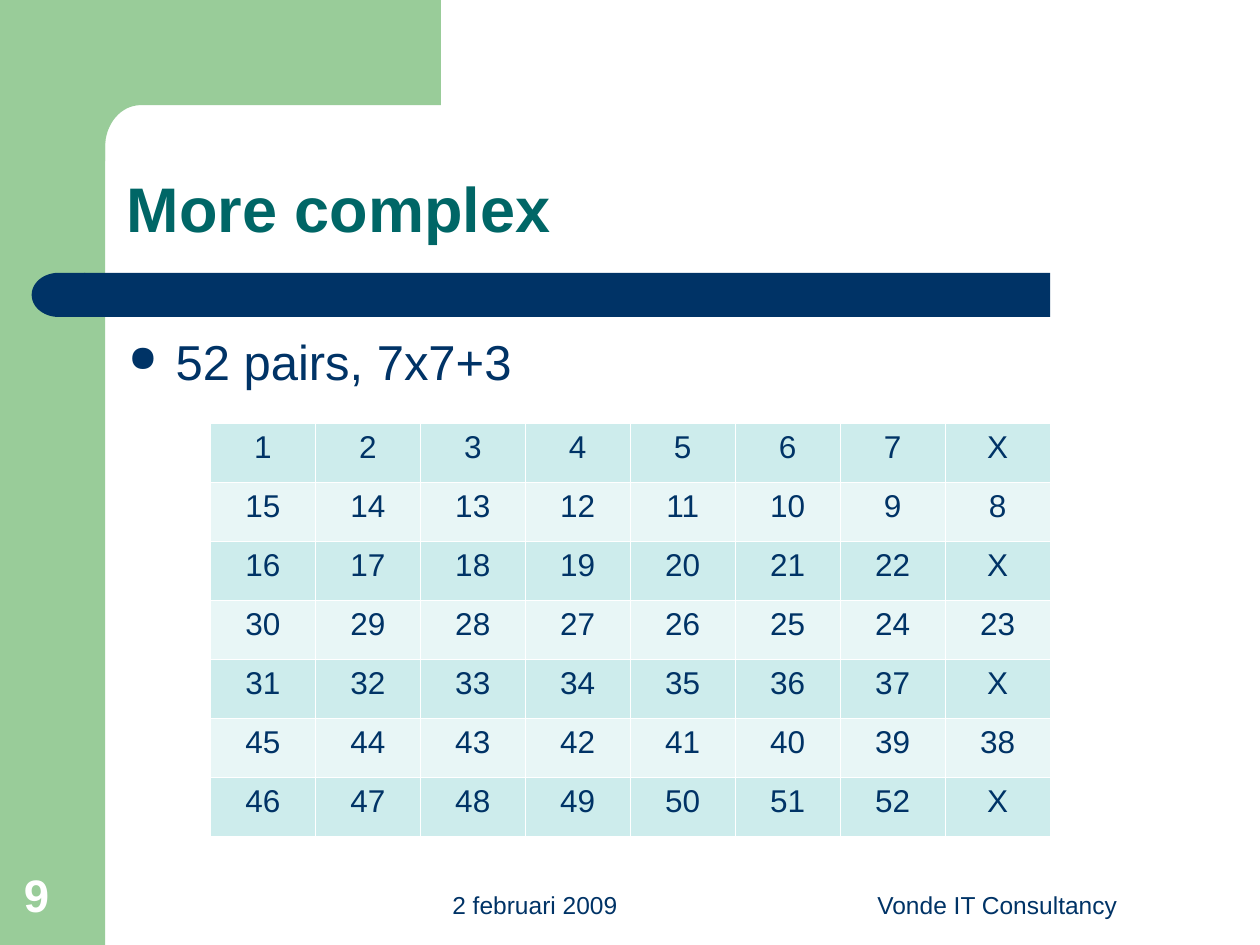
from dataclasses import dataclass
from math import cos, pi, sin

from lxml import etree
from pptx import Presentation
from pptx.dml.color import RGBColor
from pptx.enum.shapes import MSO_SHAPE
from pptx.enum.text import MSO_ANCHOR, PP_ALIGN
from pptx.oxml.ns import qn
from pptx.util import Cm, Pt

RECTANGLE, ROUNDED, DELAY = MSO_SHAPE.RECTANGLE, MSO_SHAPE.ROUNDED_RECTANGLE, MSO_SHAPE.FLOWCHART_DELAY
LEFT, CENTER, RIGHT = PP_ALIGN.LEFT, PP_ALIGN.CENTER, PP_ALIGN.RIGHT
TOP, BOTTOM = MSO_ANCHOR.TOP, MSO_ANCHOR.BOTTOM


@dataclass(frozen=True)
class Theme:
    """Colours, type sizes and font of the slide."""
    font: str = "Arial"
    green: str = "99CC99"
    navy: str = "003366"
    teal: str = "006666"
    white: str = "FFFFFF"
    bands: tuple = ("CDECEC", "E8F6F6")
    title: int = 36
    body: int = 28
    number: int = 26
    cell: int = 18
    footer: int = 14


THEME = Theme()


def write_text(frame, text, size, color=THEME.navy, bold=False, align=LEFT):
    """Write one formatted paragraph into a text frame and return it."""
    paragraph = frame.paragraphs[0]
    paragraph.alignment = align
    run = paragraph.add_run()
    run.text = text
    run.font.name = THEME.font
    run.font.size = Pt(size)
    run.font.bold = bold
    run.font.color.rgb = RGBColor.from_string(color)
    return paragraph


def add_text(slide, box, text, anchor=BOTTOM, **text_format):
    """Add a wrapped text box and return its paragraph."""
    frame = slide.shapes.add_textbox(*map(Cm, box)).text_frame
    frame.word_wrap = True
    frame.vertical_anchor = anchor
    return write_text(frame, text, **text_format)


def paint(shape, color):
    """Give a shape a flat fill without line or shadow."""
    shape.shadow.inherit = False
    shape.fill.solid()
    shape.fill.fore_color.rgb = RGBColor.from_string(color)
    shape.line.fill.background()


def add_block(slide, kind, box, color):
    """Add a flat preset shape."""
    shape = slide.shapes.add_shape(kind, *map(Cm, box))
    paint(shape, color)
    return shape


def add_frame(slide, box, band=2.12, corner_left=1.27, corner_width=7.62):
    """Draw the green side band and the top block with its rounded inner corner."""
    left, top, width, height = box
    add_block(slide, RECTANGLE, (left, top, band, height), THEME.green)
    radius_x, radius_y, steps = 0.72, 0.84, 16
    inner_left, inner_top = left + band, top + 2.12
    right, bottom = left + corner_left + corner_width, top + 3.25
    angles = [pi / 2 * step / steps for step in range(steps + 1)]
    arc = [(inner_left + radius_x * (1 - sin(angle)), inner_top + radius_y * (1 - cos(angle)))
           for angle in angles]
    points = [(right, top), (right, inner_top), *arc, (inner_left, bottom),
              (left + corner_left, bottom), (left + corner_left, top)]
    start, *others = [(Cm(x), Cm(y)) for x, y in points]
    builder = slide.shapes.build_freeform(*start)
    builder.add_line_segments(others, close=True)
    paint(builder.convert_to_shape(), THEME.green)


def add_title(slide, box, rule_top=5.5, rule_height=0.89):
    """Place the title and the navy rule with a rounded left end below it."""
    left = box[0]
    paragraph = add_text(slide, box, "More complex", size=THEME.title, color=THEME.teal, bold=True)
    paragraph.line_spacing = 0.9
    bar = add_block(slide, ROUNDED, (left - 0.61, rule_top, 19.47, rule_height), THEME.navy)
    bar.adjustments[0] = 0
    cap = add_block(slide, DELAY, (left - 1.67, rule_top, 1.08, rule_height), THEME.navy)
    cap.element.spPr.find(qn("a:xfrm")).set("flipH", "1")


def add_bullet(slide, box, text):
    """Place a bulleted line with a hanging indent."""
    paragraph = add_text(slide, box, text, anchor=TOP, size=THEME.body)
    paragraph.space_before = Pt(7)
    properties = paragraph._p.get_or_add_pPr()
    properties.set("marL", str(Cm(0.95)))
    properties.set("indent", str(-Cm(0.95)))
    color = etree.SubElement(properties, qn("a:buClr"))
    etree.SubElement(color, qn("a:srgbClr"), val=THEME.navy)
    etree.SubElement(properties, qn("a:buSzPct"), val="75000")
    etree.SubElement(properties, qn("a:buChar"), char="●")


def snake_rows(count=7, forward=7, backward=8):
    """Number the pairs to and fro, with X at the end of each forward row."""
    rows = []
    for index in range(count):
        first = index // 2 * (forward + backward) + 1
        if index % 2:
            rows.append(list(range(first + forward + backward - 1, first + forward - 1, -1)))
        else:
            rows.append([*range(first, first + forward), "X"])
    return rows


def add_borders(cell):
    """Draw thin white lines on all sides of a cell."""
    properties = cell._tc.get_or_add_tcPr()
    for side in ("lnL", "lnR", "lnT", "lnB"):
        line = etree.SubElement(properties, qn(f"a:{side}"), w=str(Pt(0.45)))
        fill = etree.SubElement(line, qn("a:solidFill"))
        etree.SubElement(fill, qn("a:srgbClr"), val=THEME.white)


def add_pair_table(slide, box, rows):
    """Place the banded table of pair numbers."""
    table = slide.shapes.add_table(len(rows), len(rows[0]), *map(Cm, box)).table
    for row_index, values in enumerate(rows):
        for column_index, value in enumerate(values):
            cell = table.cell(row_index, column_index)
            add_borders(cell)
            cell.fill.solid()
            cell.fill.fore_color.rgb = RGBColor.from_string(THEME.bands[row_index % 2])
            write_text(cell.text_frame, str(value), size=THEME.cell, align=CENTER)


def add_footer(slide, box):
    """Place the slide number, date and firm along the bottom."""
    left, top, width, height = box
    add_text(slide, (left + 6.55, top, 5.92, height), "2 februari 2009",
             size=THEME.footer, align=RIGHT)
    add_text(slide, (left + width - 8.05, top, 8.05, height), "Vonde IT Consultancy",
             size=THEME.footer, align=CENTER)
    add_text(slide, (left, top, 1.63, height + 0.03), "9",
             size=THEME.number, color=THEME.white, bold=True)


def main():
    """Build and save the slide."""
    presentation = Presentation()
    presentation.slide_width, presentation.slide_height = Cm(25.4), Cm(19.05)
    slide = presentation.slides.add_slide(presentation.slide_layouts[6])
    add_frame(slide, (0, 0, 25.4, 19.05))
    add_title(slide, (2.31, 2.31, 21.62, 2.77))
    add_bullet(slide, (2.34, 6.55, 21.36, 10.34), "52 pairs, 7x7+3")
    add_footer(slide, (0.23, 17.35, 23.9, 1.32))
    add_pair_table(slide, (4.24, 8.53, 16.93, 8.33), snake_rows())
    presentation.save("out.pptx")


if __name__ == "__main__":
    main()
